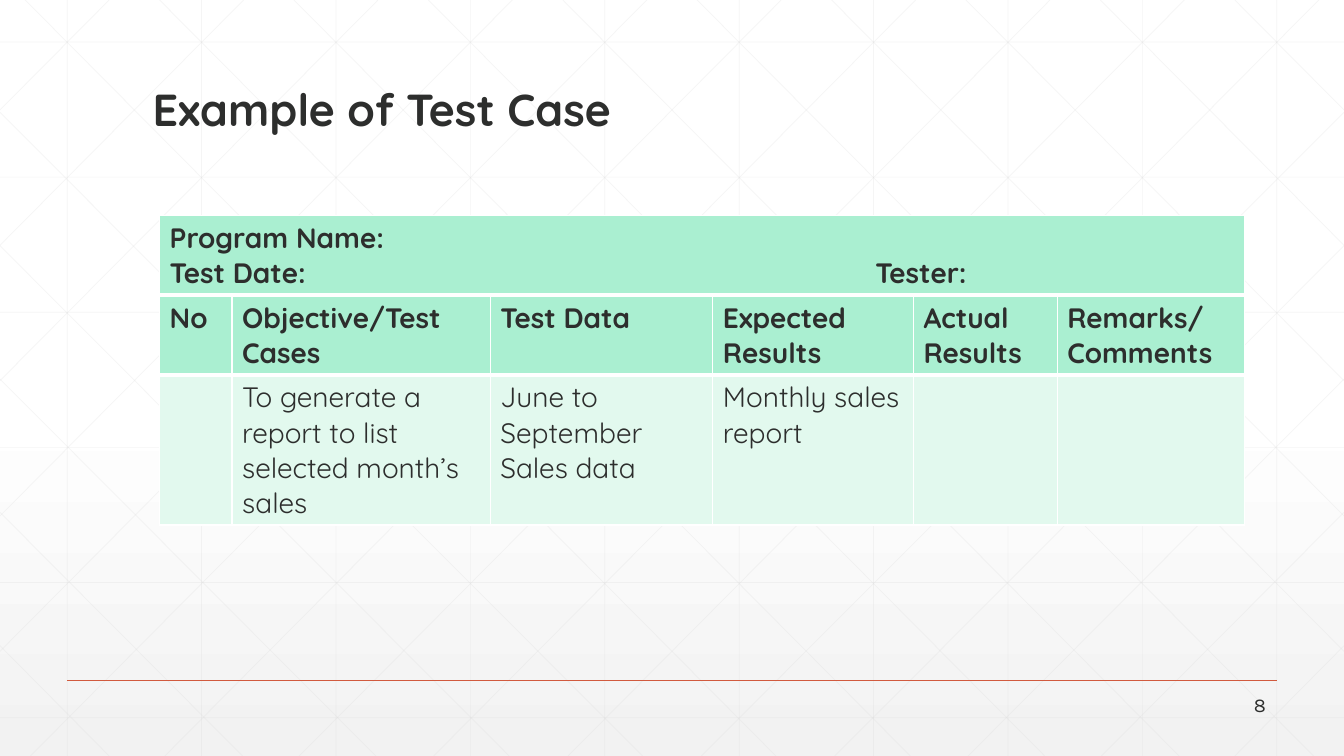
from pptx import Presentation
from pptx import util as u
from pptx.dml.color import RGBColor
from pptx.enum import shapes, text
from pptx.oxml import parse_xml
from pptx.oxml.ns import qn
from lxml import etree

PX = 9525
WIDE, HIGH = 1280, 720
NS = 'xmlns:a="http://schemas.openxmlformats.org/drawingml/2006/main"'
INK, WHITE, GRID, RULE = "2D2E2D", "FFFFFF", "D9D9D9", "D15A3E"
MINT, PALE = "AAEFD1", "E2F9EE"
COLS = [69, 246, 212, 191, 137, 178]
ROWS = [76, 76, 143]
HEADS = ["No", "Objective/Test Cases", "Test Data", "Expected Results",
         "Actual Results", "Remarks/ Comments"]
CASE = ["", "To generate a report to list selected month’s sales",
        "June to September Sales data", "Monthly sales report", "", ""]


def px(*vals):
    return [u.Emu(round(v * PX)) for v in vals]


def rgb(code):
    return RGBColor.from_string(code)


def add_run(para, words, size, font="Quicksand", bold=False):
    run = para.add_run()
    run.text = words
    run.font.size = u.Pt(size)
    run.font.name = font
    run.font.bold = bold
    run.font.color.rgb = rgb(INK)


def add_text(slide, box, anchor):
    """Add an empty wrapped text box and return its first paragraph."""
    frame = slide.shapes.add_textbox(*px(*box)).text_frame
    frame.word_wrap = True
    frame.vertical_anchor = anchor
    return frame.paragraphs[0]


def add_line(slide, ends, color, width, alpha=None):
    line = slide.shapes.add_connector(shapes.MSO_CONNECTOR.STRAIGHT, *px(*ends))
    line.line.color.rgb = rgb(color)
    line.line.width = u.Pt(width)
    props = line._element.spPr
    etree.SubElement(props, qn("a:effectLst"))
    if alpha:
        tone = props.find(".//" + qn("a:srgbClr"))
        etree.SubElement(tone, qn("a:alpha")).set("val", str(alpha * 1000))


def draw_grid(slide):
    """Draw the faint lattice of upright, level and slanted lines."""
    ends = [(x, 0, x, HIGH) for x in range(64, WIDE, 128)]
    ends += [(0, 40 + 128.7 * i, WIDE, 40 + 128.7 * i) for i in range(6)]
    slants = []
    for x in range(24, WIDE, 128):
        run = min(715, WIDE - x)
        slants.append((x, 0, x + run, run * HIGH / 715))
    slants += [(0, 107 + 127 * i, 612 - 127 * i, HIGH) for i in range(5)]
    ends += slants
    ends += [(WIDE - a, b, WIDE - c, d) for a, b, c, d in slants]
    for end in ends:
        add_line(slide, end, GRID, 0.5, 25)


def set_cell(cell, fill, top, base):
    """Give a cell white borders, then its fill."""
    props = cell._tc.get_or_add_tcPr()
    for side, width in zip("LRTB", (1, 1, top, base)):
        props.append(parse_xml(
            f'<a:ln{side} {NS} w="{u.Pt(width)}"><a:solidFill>'
            f'<a:srgbClr val="{WHITE}"/></a:solidFill></a:ln{side}>'))
    cell.fill.solid()
    cell.fill.fore_color.rgb = rgb(fill)


def add_cases(slide):
    """Add the test case table."""
    box = px(152, 205, sum(COLS), sum(ROWS))
    table = slide.shapes.add_table(len(ROWS), len(COLS), *box).table
    table.first_row = table.horz_banding = False
    for col, width in zip(table.columns, px(*COLS)):
        col.width = width
    for row, height in zip(table.rows, px(*ROWS)):
        row.height = height
    looks = [(MINT, 1, 3), (MINT, 3, 3), (PALE, 3, 1)]
    for row, look in zip(table.rows, looks):
        for cell in row.cells:
            set_cell(cell, *look)
    top = table.cell(0, 0)
    top.merge(table.cell(0, len(COLS) - 1))
    add_run(top.text_frame.paragraphs[0], "Program Name:", 20, bold=True)
    para = top.text_frame.add_paragraph()
    tabs = etree.SubElement(para._p.get_or_add_pPr(), qn("a:tabLst"))
    etree.SubElement(tabs, qn("a:tab"), pos=str(u.Inches(7)), algn="l")
    add_run(para, "Test Date:\tTester:", 20, bold=True)
    for r, words in enumerate((HEADS, CASE), 1):
        for c, word in enumerate(words):
            if word:
                para = table.cell(r, c).text_frame.paragraphs[0]
                add_run(para, word, 20, bold=r == 1)


def set_back(slide):
    """Fade the background from white to light grey."""
    fill = slide.background.fill
    fill.gradient()
    fill.gradient_angle = 270
    for stop, spot, color in zip(fill.gradient_stops, (0.53, 1), (WHITE, "F2F2F2")):
        stop.position = spot
        stop.color.rgb = rgb(color)


def main():
    deck = Presentation()
    deck.slide_width, deck.slide_height = px(WIDE, HIGH)
    slide = deck.slides.add_slide(deck.slide_layouts[6])
    set_back(slide)
    draw_grid(slide)
    add_line(slide, (64, 648, 1216, 648), RULE, 1)
    title = add_text(slide, (136, 53, 1008, 81), text.MSO_ANCHOR.BOTTOM)
    title.line_spacing = 0.9
    add_run(title, "Example of Test Case", 32, bold=True)
    number = add_text(slide, (1119, 660, 96, 23), text.MSO_ANCHOR.MIDDLE)
    number.alignment = text.PP_ALIGN.RIGHT
    add_run(number, "8", 14, "Karla")
    add_cases(slide)
    deck.save("out.pptx")


if __name__ == "__main__":
    main()
